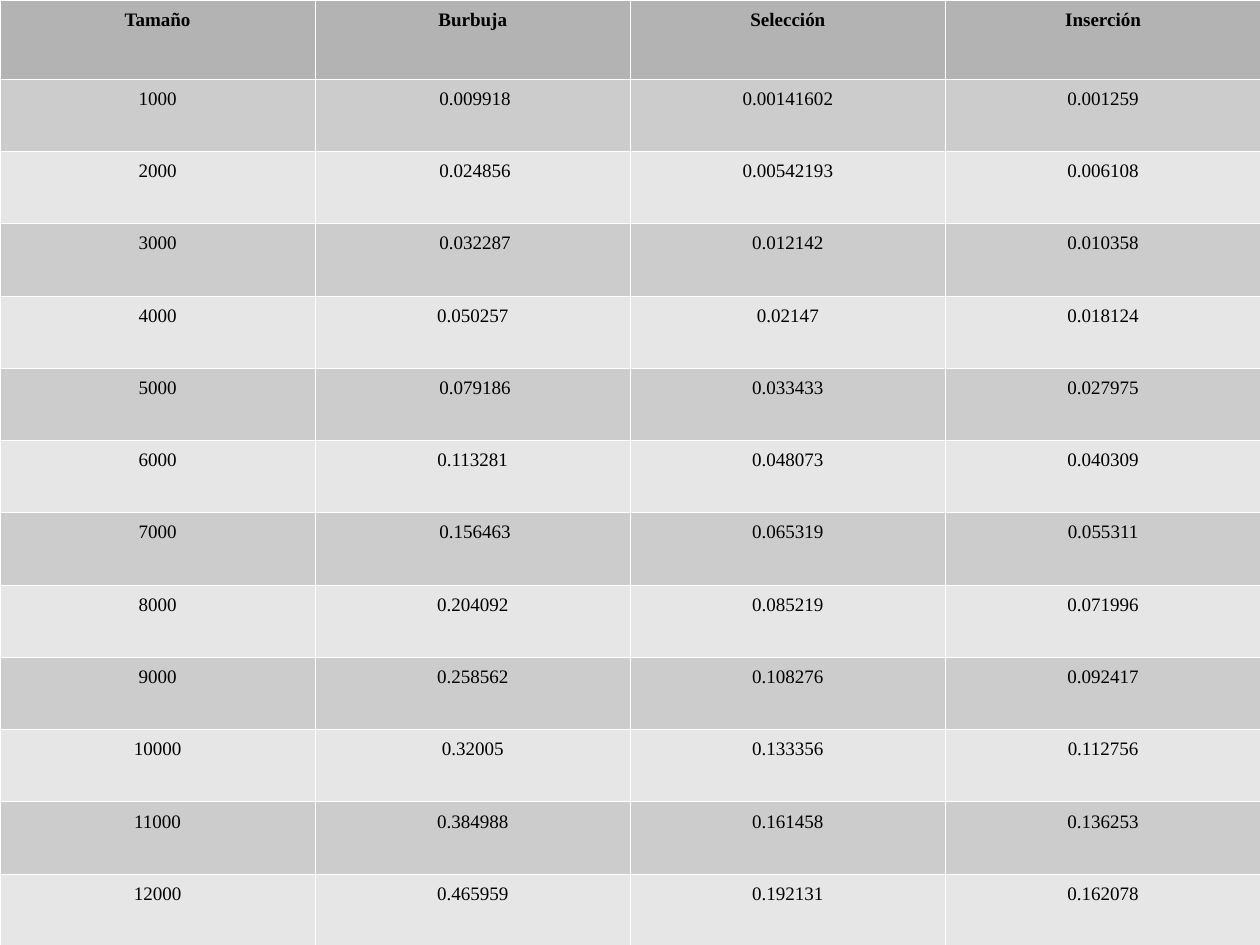
"""Builds a slide with a table of sorting times by input size."""
import pptx
import pptx.dml.color
import pptx.enum.text
import pptx.oxml
import pptx.oxml.ns
import pptx.util
from dataclasses import dataclass

Inches = pptx.util.Inches
Pt = pptx.util.Pt
RGB = pptx.dml.color.RGBColor.from_string

HEADS = ("Tamaño", "Burbuja", "Selección", "Inserción")
TIMES = (
    (" 0.009918", "0.00141602", "0.001259"),
    (" 0.024856", "0.00542193", "0.006108"),
    (" 0.032287", "0.012142", "0.010358"),
    ("0.050257", "0.02147", "0.018124"),
    (" 0.079186", "0.033433", "0.027975"),
    ("0.113281", "0.048073", "0.040309"),
    (" 0.156463", "0.065319", "0.055311"),
    ("0.204092", "0.085219", "0.071996"),
    ("0.258562", "0.108276", "0.092417"),
    ("0.32005", "0.133356", "0.112756"),
    ("0.384988", "0.161458", "0.136253"),
    ("0.465959", "0.192131", "0.162078"),
)


@dataclass(frozen=True)
class Theme:
    face: str = "Times New Roman"
    size: float = 12
    ink: str = "000000"
    head: str = "B3B3B3"
    bands: tuple = ("E6E6E6", "CCCCCC")
    edge: str = "FFFFFF"
    line: float = 0.06
    lead: float = 1.18


def apply(item, form):
    for name, value in form.items():
        setattr(item, name, value)


class Deck:
    def __init__(self, theme, wide, high):
        self.theme = theme
        self.file = pptx.Presentation()
        apply(self.file, {"slide_width": Inches(wide), "slide_height": Inches(high)})
        self.slide = self.file.slides.add_slide(self.file.slide_layouts[6])

    def edges(self, cell):
        props = cell._tc.get_or_add_tcPr()
        for index, side in enumerate(("lnL", "lnR", "lnT", "lnB")):
            props.insert(index, pptx.oxml.parse_xml(
                f'<a:{side} {pptx.oxml.ns.nsdecls("a")} w="{Pt(self.theme.line)}">'
                f'<a:solidFill><a:srgbClr val="{self.theme.edge}"/></a:solidFill>'
                f'</a:{side}>'))

    def cell(self, cell, text, fill, bold):
        theme = self.theme
        cell.text = text
        cell.fill.solid()
        cell.fill.fore_color.rgb = RGB(fill)
        self.edges(cell)
        para = cell.text_frame.paragraphs[0]
        apply(para, {"alignment": pptx.enum.text.PP_ALIGN.CENTER,
                     "line_spacing": theme.lead})
        font = para.runs[0].font
        apply(font, {"name": theme.face, "size": Pt(theme.size), "bold": bold})
        font.color.rgb = RGB(theme.ink)

    def table(self, rows, wide, high, top):
        frame = self.slide.shapes.add_table(
            len(rows), len(rows[0]), 0, 0, Inches(wide), Inches(high))
        grid = frame.table
        for col in grid.columns:
            col.width = Inches(wide / len(rows[0]))
        body = (high - top) / (len(rows) - 1)
        for r, texts in enumerate(rows):
            grid.rows[r].height = Inches(body if r else top)
            fill = self.theme.bands[r % 2] if r else self.theme.head
            for c, text in enumerate(texts):
                self.cell(grid.cell(r, c), text, fill, r == 0)


def main():
    deck = Deck(Theme(), 28 / 2.54, 21 / 2.54)
    rows = [HEADS] + [(str(n * 1000), *times) for n, times in enumerate(TIMES, 1)]
    deck.table(rows, 11.03, 8.28, 0.69)
    deck.file.save("out.pptx")


if __name__ == "__main__":
    main()
